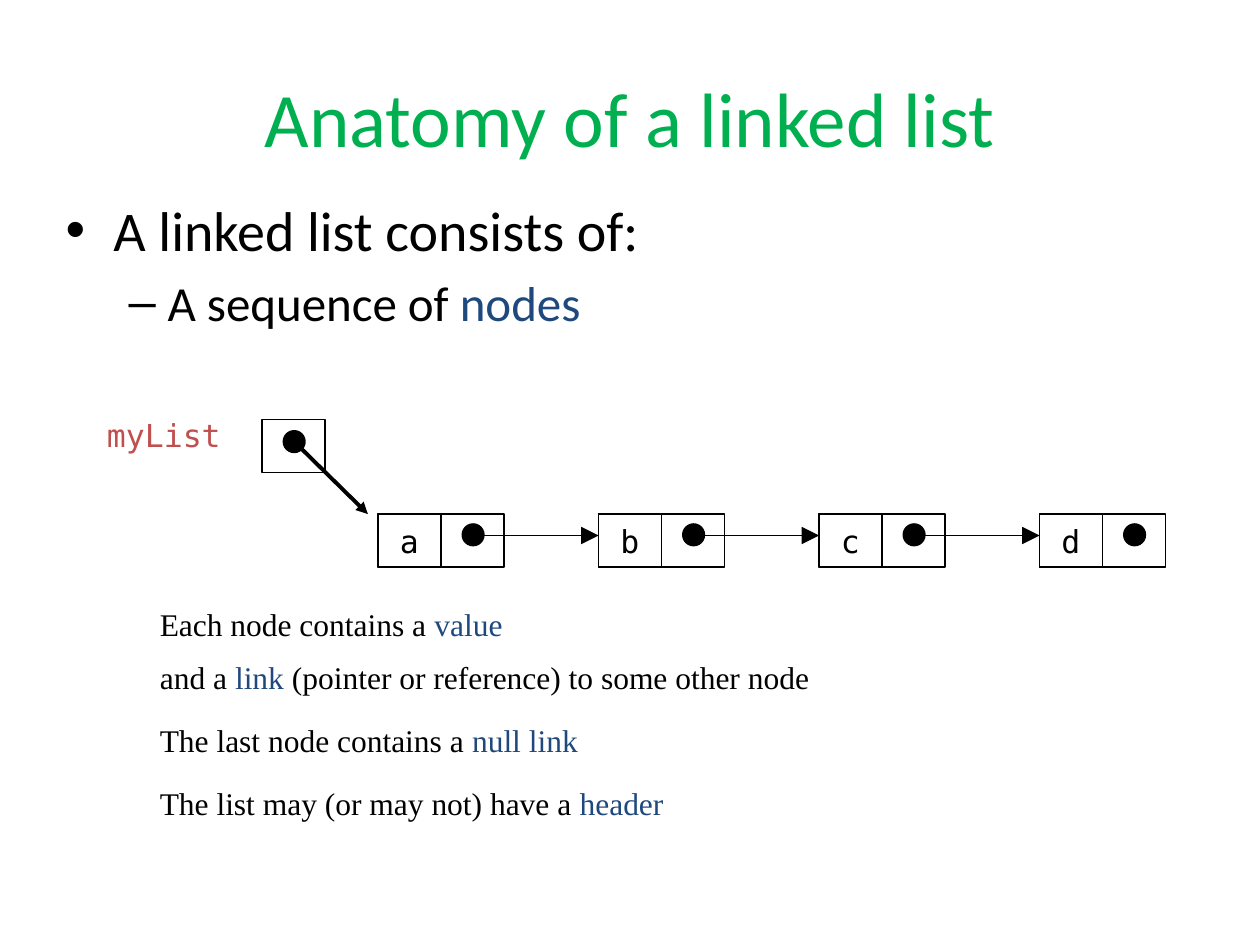
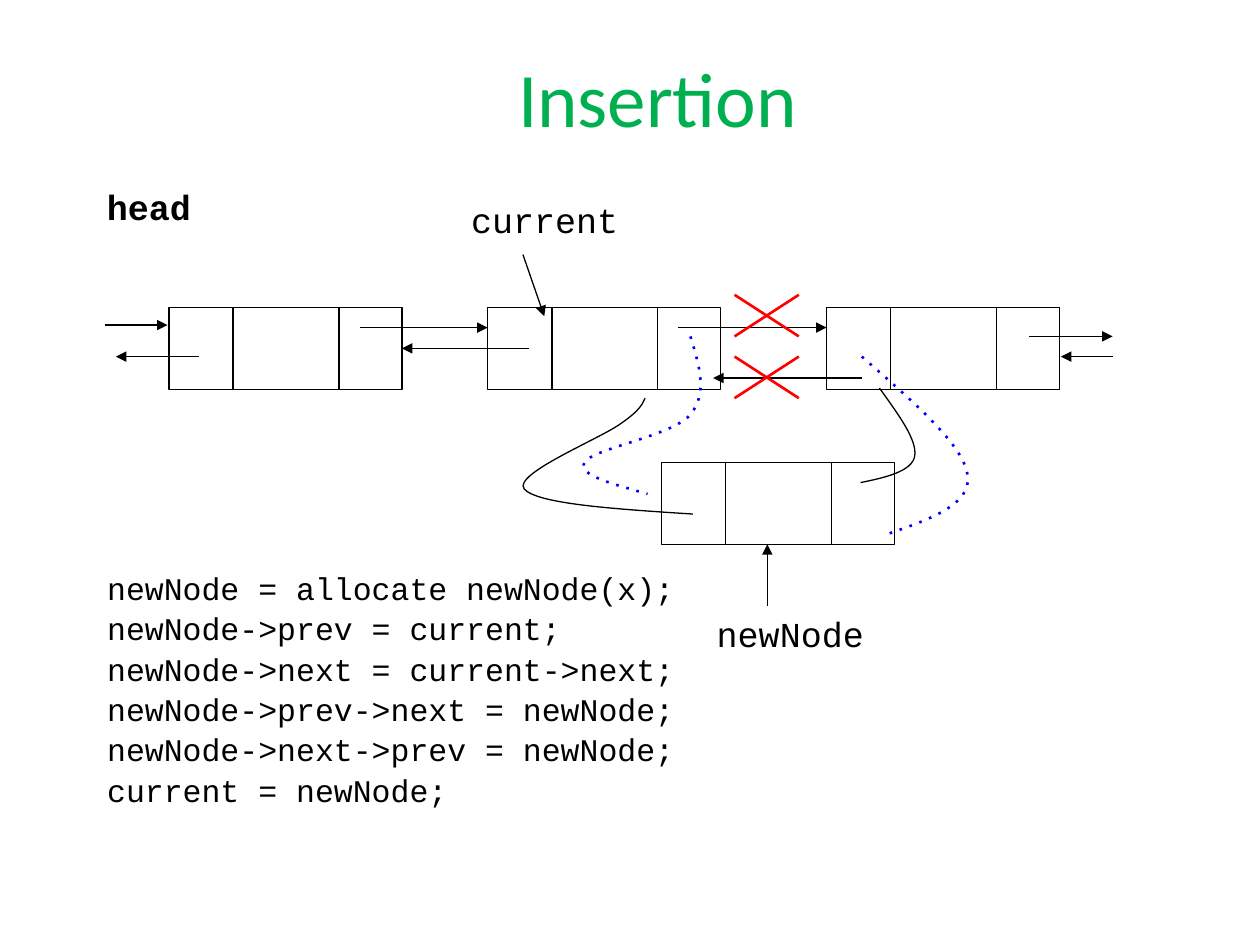
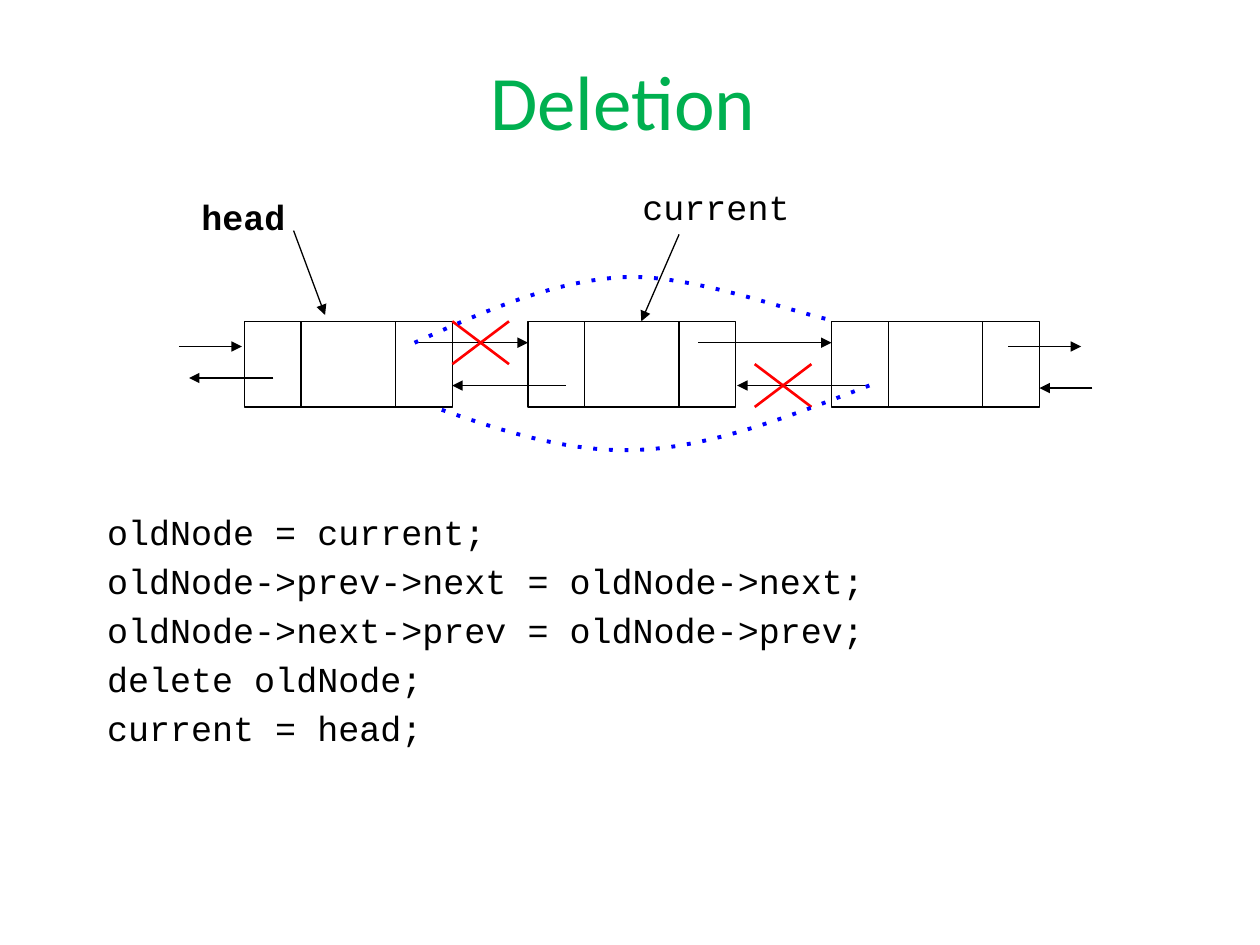
"""Builds three slides on linked lists: anatomy, insertion and deletion."""
from lxml.etree import SubElement
from pptx import Presentation
from pptx.dml.color import RGBColor
from pptx.enum.shapes import MSO_CONNECTOR, MSO_SHAPE
from pptx.enum.text import PP_ALIGN
from pptx.oxml.ns import qn
from pptx.util import Inches, Pt

BLACK, WHITE, GREEN, NAVY = "000000", "FFFFFF", "00B050", "1F497D"
BRICK, RED, BLUE = "C0504D", "FF0000", "0000FF"
SANS, SERIF, MONO, CODE = "Calibri", "Times New Roman", "DejaVu Sans Mono", "Courier New"
rgb = RGBColor.from_string


def write(box, text, size, font, color=BLACK, bold=False):
    """Fill a box with lines of text; parts between bars turn navy."""
    frame = box.text_frame
    frame.word_wrap = True
    frame.text = text
    for para in frame.paragraphs:
        parts = para.text.split("|")
        para.clear()
        for i, part in enumerate(parts):
            if part:
                run = para.add_run()
                run.text = part
                run.font.size = Pt(size)
                run.font.name = font
                run.font.bold = bold
                run.font.color.rgb = rgb(NAVY if i % 2 else color)


def link(slide, ends, width, color=BLACK, head="med"):
    """Draw a straight line, with an arrowhead of the given size at its end."""
    line = slide.shapes.add_connector(MSO_CONNECTOR.STRAIGHT, *map(Inches, ends))
    line.line.color.rgb = rgb(color)
    line.line.width = Pt(width)
    if head:
        SubElement(line.line._get_or_add_ln(), qn("a:tailEnd"),
                   type="triangle", w=head, len=head)
    SubElement(line._element.spPr, qn("a:effectLst"))
    return line


deck = Presentation()
deck.slide_width, deck.slide_height = Inches(10), Inches(7.5)
slides = []
for name, title_at, body_at in [
    ("Anatomy of a linked list", (0.5, 0.3, 9, 1.25), (0.42, 1.5, 9.38, 1.62)),
    ("Insertion", (3.16, 0.32, 4.12, 0.89), (0.75, 4.5, 8.5, 2.17)),
    ("Deletion", (2.28, 0.45, 5.33, 0.69), (0.75, 4, 8.5, 2.67)),
]:
    slide = deck.slides.add_slide(deck.slide_layouts[1])
    title, body = slide.shapes.title, slide.placeholders[1]
    for box, at in ((title, title_at), (body, body_at)):
        box.left, box.top, box.width, box.height = map(Inches, at)
    write(title, name, 44, SANS, GREEN)
    title.text_frame.paragraphs[0].alignment = PP_ALIGN.CENTER
    slides.append(slide)

slide = slides[0]
body = slide.placeholders[1]
write(body, "A linked list consists of:\nA sequence of |nodes|", 32, SANS)
first, second = body.text_frame.paragraphs
first.space_before = Pt(0)
second.level = 1
second.space_before = Pt(5.6)
for run in second.runs:
    run.font.size = Pt(28)
for para, margin, hang in ((first, 0.38, 0.38), (second, 0.81, 0.31)):
    props = para._p.get_or_add_pPr()
    props.set("marL", str(Inches(margin)))
    props.set("indent", str(-Inches(hang)))

lefts = [3 + 1.75 * i for i in range(4)]
cells = [(left + shift, 4.08, "") for left in lefts for shift in (0, 0.5)]
cells += [(left, 4.08, value) for left, value in zip(lefts, "abcd")]
cells.append((2.08, 3.33, ""))
dots = [(left + 0.67, 4.16) for left in lefts] + [(2.25, 3.42)]
for left, top, value in cells:
    cell = slide.shapes.add_shape(
        MSO_SHAPE.RECTANGLE, Inches(left), Inches(top), Inches(0.5), Inches(0.42))
    cell.shadow.inherit = False
    cell.fill.background()
    cell.line.color.rgb = rgb(BLACK)
    cell.line.width = Pt(1)
    if value:
        write(cell, value, 18, MONO)
        cell.text_frame.paragraphs[0].alignment = PP_ALIGN.CENTER
for left, top in dots:
    dot = slide.shapes.add_shape(
        MSO_SHAPE.OVAL, Inches(left), Inches(top), Inches(0.17), Inches(0.17))
    dot.shadow.inherit = False
    dot.fill.solid()
    dot.fill.fore_color.rgb = rgb(BLACK)
    dot.line.color.rgb = rgb(BLACK)
    dot.line.width = Pt(1)
for left in lefts[:-1]:
    link(slide, (left + 0.75, 4.25, left + 1.75, 4.25), 1, head="lg")
link(slide, (2.33, 3.5, 2.92, 4.08), 2.25)

for left, top, width, text, font, color in [
    (0.75, 3.25, 1.42, "myList", MONO, BRICK),
    (1.17, 4.75, 6.83, "Each node contains a |value|", SERIF, BLACK),
    (1.17, 5.17, 7.58, "and a |link| (pointer or reference) to some other node", SERIF, BLACK),
    (1.17, 5.67, 7.67, "The last node contains a |null link|", SERIF, BLACK),
    (1.17, 6.17, 7.67, "The list may (or may not) have a |header|", SERIF, BLACK),
]:
    note = slide.shapes.add_textbox(Inches(left), Inches(top), Inches(width), Inches(0.5))
    write(note, text, 18, font, color)

insert = dict(
    code="newNode = allocate newNode(x);\nnewNode->prev = current;\n"
         "newNode->next = current->next;\nnewNode->prev->next = newNode;\n"
         "newNode->next->prev = newNode;\ncurrent = newNode;",
    size=18, spacing=0.9, gap=3.6,
    labels=[("head", 0.75, 1.42, 1.18), ("current", 3.64, 1.53, 2.02),
            ("newNode", 5.59, 4.81, 2.5)],
    node=(1.85, 0.65), splits=(0.51, 1.35),
    nodes=[(1.34, 2.44), (3.87, 2.44), (6.56, 2.44), (5.25, 3.67)],
    arrows=[(2.86, 2.6, 3.87, 2.6), (4.2, 2.77, 3.2, 2.77), (5.38, 2.6, 6.56, 2.6),
            (6.84, 3, 5.66, 3), (4.15, 2.02, 4.32, 2.51), (6.09, 4.81, 6.09, 4.32),
            (8.17, 2.67, 8.83, 2.67), (0.83, 2.58, 1.33, 2.58),
            (8.83, 2.83, 8.42, 2.83), (1.58, 2.83, 0.92, 2.83)],
    cross=(0.51, 0.33), crosses=[(5.83, 2.83), (5.83, 2.34)],
    curves=[
        (BLUE, 1.5, [(5.48, 2.67), (5.55, 2.9), (5.62, 3.12), (5.48, 3.29), (5.34, 3.46),
                     (4.7, 3.56), (4.64, 3.67), (4.58, 3.77), (4.86, 3.84), (5.14, 3.92)]),
        (BLACK, 0.75, [(5.5, 4.08), (4.88, 4.04), (4.26, 4), (4.16, 3.88), (4.07, 3.76),
                       (4.77, 3.48), (4.93, 3.36), (5.09, 3.25), (5.1, 3.2), (5.12, 3.16)]),
        (BLACK, 0.75, [(6.83, 3.83), (7.03, 3.79), (7.24, 3.74), (7.26, 3.62),
                       (7.28, 3.49), (7.13, 3.29), (6.98, 3.08)]),
        (BLUE, 1.5, [(6.84, 2.83), (7.25, 3.19), (7.66, 3.54), (7.68, 3.78),
                     (7.71, 4.01), (7.36, 4.13), (7.01, 4.25)]),
    ])
delete = dict(
    code="oldNode = current;\noldNode->prev->next = oldNode->next;\n"
         "oldNode->next->prev = oldNode->prev;\ndelete oldNode;\ncurrent = head;",
    size=20, spacing=1.0, gap=4,
    labels=[("head", 1.5, 1.5, 1.55), ("current", 5, 1.42, 1.42)],
    node=(1.65, 0.68), splits=(0.45, 1.2),
    nodes=[(1.94, 2.55), (4.19, 2.55), (6.6, 2.55)],
    arrows=[(5.39, 1.86, 5.09, 2.55), (3.29, 2.72, 4.19, 2.72), (4.49, 3.06, 3.59, 3.06),
            (5.54, 2.72, 6.6, 2.72), (6.9, 3.06, 5.85, 3.06), (2.33, 1.83, 2.58, 2.5),
            (1.42, 2.75, 1.92, 2.75), (2.17, 3, 1.5, 3), (8.67, 3.08, 8.25, 3.08),
            (8, 2.75, 8.58, 2.75)],
    cross=(0.45, 0.34), crosses=[(3.59, 2.55), (5.99, 2.89)],
    curves=[
        (BLUE, 2.25, [(3.29, 2.72), (3.84, 2.47), (4.39, 2.23), (4.94, 2.2),
                      (5.49, 2.17), (6.32, 2.49), (6.6, 2.54)]),
        (BLUE, 2.25, [(6.9, 3.06), (6.28, 3.3), (5.67, 3.54), (5.09, 3.57),
                      (4.52, 3.6), (3.98, 3.42), (3.44, 3.23)]),
    ])

for slide, plan in zip(slides[1:], (insert, delete)):
    body = slide.placeholders[1]
    write(body, plan["code"], plan["size"], CODE)
    for i, para in enumerate(body.text_frame.paragraphs):
        para.line_spacing = plan["spacing"]
        para.space_before = Pt(plan["gap"] if i else 0)
        props = para._p.get_or_add_pPr()
        props.set("marL", str(Inches(0.38)))
        props.set("indent", str(-Inches(0.38)))
        SubElement(props, qn("a:buNone"))

    for text, left, top, width in plan["labels"]:
        label = slide.shapes.add_textbox(
            Inches(left), Inches(top), Inches(width), Inches(0.49))
        write(label, text, 20, CODE, bold=text == "head")

    wide, high = plan["node"]
    boxes = []
    for left, top in plan["nodes"]:
        box = slide.shapes.add_shape(
            MSO_SHAPE.RECTANGLE, Inches(left), Inches(top), Inches(wide), Inches(high))
        box.shadow.inherit = False
        box.fill.solid()
        box.fill.fore_color.rgb = rgb(WHITE)
        box.line.color.rgb = rgb(BLACK)
        box.line.width = Pt(0.75)
        boxes.append((box, left + wide, top + high / 2))
        for split in plan["splits"]:
            link(slide, (left + split, top, left + split, top + high), 0.75, head=None)

    lines = [(ends, 0.75, BLACK, "med") for ends in plan["arrows"]]
    dx, dy = plan["cross"]
    for x, y in plan["crosses"]:
        lines += [((x + dx, y, x, y + dy), 1.5, RED, None),
                  ((x, y, x + dx, y + dy), 1.5, RED, None)]
    for ends, width, color, head in lines:
        line = link(slide, ends, width, color, head)
        for box, right, middle in boxes:
            if abs(ends[2] - right) < 0.02 and abs(ends[3] - middle) < 0.02:
                line.end_connect(box, 3)
                if ends[1] == ends[3]:
                    line.begin_y = line.end_y

    for color, width, knots in plan["curves"]:
        points = [(Inches(x), Inches(y)) for x, y in knots]
        pen = slide.shapes.build_freeform(*points[0])
        pen.add_line_segments(points[1:], close=False)
        curve = pen.convert_to_shape()
        steps = curve._element.findall(".//" + qn("a:lnTo"))
        route = steps[0].getparent()
        for i in range(0, len(steps), 3):
            bend = SubElement(route, qn("a:cubicBezTo"))
            for step in steps[i:i + 3]:
                bend.append(step[0])
                route.remove(step)
        curve.shadow.inherit = False
        curve.fill.background()
        curve.line.color.rgb = rgb(color)
        curve.line.width = Pt(width)
        if color == BLUE:
            SubElement(curve.line._get_or_add_ln(), qn("a:prstDash"), val="dot")

deck.save("out.pptx")
